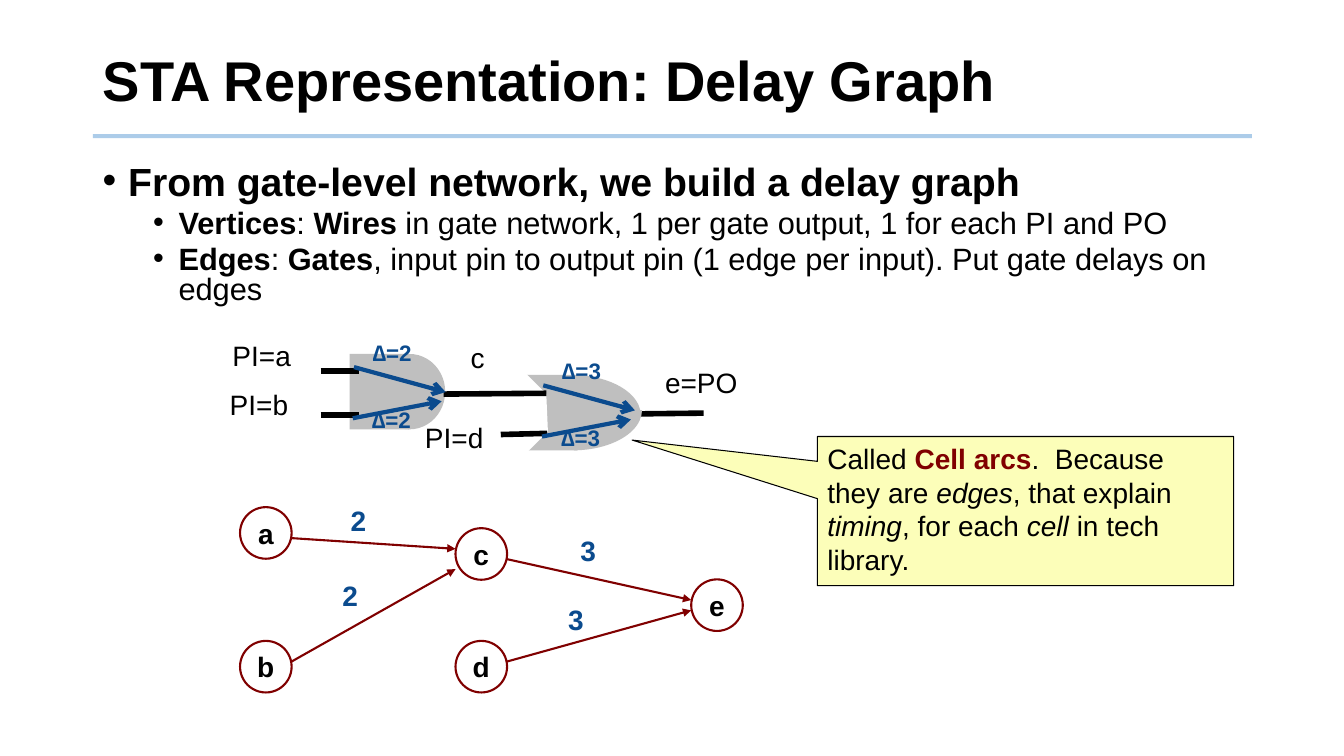
from dataclasses import dataclass

from lxml import etree
from pptx import Presentation, util as u
from pptx.dml.color import RGBColor
from pptx.enum import shapes, text
from pptx.oxml.ns import qn

BLACK, BLUE, RED, GREY = "000000", "0B4B8E", "800000", "BFBFBF"
MSO = shapes.MSO_SHAPE
BOLD, ITALIC = {"bold": True}, {"italic": True}


@dataclass
class Label:
    text: str
    x: float
    y: float
    w: float = 2.29
    h: float = 1.27
    size: float = 20
    color: str = BLACK
    bold: bool = False


@dataclass
class Line:
    x1: float
    y1: float
    x2: float
    y2: float
    color: str = BLACK
    width: float = 4
    head: str = ""


@dataclass
class Block:
    kind: MSO
    x: float
    y: float
    w: float
    h: float
    fill: str = GREY
    adjust: tuple[float, ...] = ()
    rotation: float = 0
    flip: bool = False


@dataclass
class Node:
    x: float
    y: float


@dataclass
class Edge:
    """Delay edge; dy1 and dy2 shift its ends from the node centres."""
    start: str
    end: str
    dy1: float
    dy2: float


def rgb(color: str) -> RGBColor:
    return RGBColor.from_string(color)


def add_run(p, words: str, size: float, color: str = BLACK, **fmt) -> None:
    r = p.add_run()
    r.text = words
    for name, value in ({"name": "Arial", "size": u.Pt(size)} | fmt).items():
        setattr(r.font, name, value)
    r.font.color.rgb = rgb(color)


def add_box(s, x: float, y: float, w: float, h: float, **frame):
    tf = s.shapes.add_textbox(*map(u.Cm, (x, y, w, h))).text_frame
    for name, value in frame.items():
        setattr(tf, name, value)
    return tf


def add_label(s, label: Label) -> None:
    tf = add_box(s, label.x, label.y, label.w, label.h, word_wrap=False)
    add_run(tf.paragraphs[0], label.text, label.size, label.color, bold=label.bold)


def add_line(s, line: Line):
    ends = map(u.Cm, (line.x1, line.y1, line.x2, line.y2))
    sp = s.shapes.add_connector(shapes.MSO_CONNECTOR.STRAIGHT, *ends)
    sp.line.color.rgb = rgb(line.color)
    sp.line.width = u.Pt(line.width)
    if line.head:
        etree.SubElement(sp.line._get_or_add_ln(), qn("a:tailEnd"), type=line.head)
    etree.SubElement(sp._element.spPr, qn("a:effectLst"))
    return sp


def add_block(s, block: Block):
    """Borderless preset shape."""
    sp = s.shapes.add_shape(block.kind, *map(u.Cm, (block.x, block.y, block.w, block.h)))
    sp.shadow.inherit = False
    sp.fill.solid()
    sp.fill.fore_color.rgb = rgb(block.fill)
    sp.line.fill.background()
    sp.rotation = block.rotation
    for i, value in enumerate(block.adjust):
        sp.adjustments[i] = value
    if block.flip:
        sp._element.spPr.xfrm.set("flipV", "1")
    return sp


def outline(sp, color: str, width: float) -> None:
    sp.line.color.rgb = rgb(color)
    sp.line.width = u.Pt(width)


def add_bullet(p, left: float, before: float) -> None:
    p.line_spacing, p.space_before = 0.8, u.Pt(before)
    pPr = p._p.get_or_add_pPr()
    pPr.set("marL", str(u.Cm(left)))
    pPr.set("indent", str(u.Cm(-0.64)))
    etree.SubElement(pPr, qn("a:buFont"), typeface="Arial")
    etree.SubElement(pPr, qn("a:buChar"), char="•")


NODE_SIZE = 1.3
NODES = {"a": Node(6.05, 12.78), "b": Node(6.05, 16.15), "c": Node(11.48, 13.31),
         "d": Node(11.48, 16.15), "e": Node(17.42, 14.6)}
EDGES = [Edge("a", "c", 0.13, -0.13), Edge("b", "c", -0.13, 0.38),
         Edge("c", "e", 0.13, -0.13), Edge("d", "e", -0.13, 0.13)]
WEIGHTS = [("2", 8.59, 12.57), ("2", 8.38, 14.45), ("3", 14.07, 15.06), ("3", 14.38, 13.31)]
PINS = [Label("PI=a", 5.61, 8.41), Label("PI=b", 5.54, 9.63), Label("c", 11.61, 8.46, 0.99),
        Label("PI=d", 10.46, 10.46), Label("e=PO", 16.51, 9.09, 2.69)]
OUTPUT_WIRE = Line(15.14, 10.44, 17.73, 10.41)
INPUT_WIRES = [Line(8.08, 9.35, 9.04, 9.35), Line(8.08, 10.46, 9.04, 10.46),
               Line(12.62, 10.95, 13.79, 10.92), Line(11.18, 9.93, 13.77, 9.91)]
QUARTER = (162.82, 0)
GATES = [
    Block(MSO.RECTANGLE, 8.81, 8.92, 1.5, 1.9),
    Block(MSO.OVAL, 9.42, 8.92, 1.8, 1.9),
    Block(MSO.RECTANGLE, 13.28, 9.45, 1.27, 1.9),
    Block(MSO.ARC, 12.67, 9.45, 3.48, 2.03, adjust=QUARTER),
    Block(MSO.ARC, 12.7, 9.32, 3.48, 2.03, adjust=QUARTER, flip=True),
    Block(MSO.DIAGONAL_STRIPE, 12.5, 9.6, 1.42, 1.55, "FFFFFF", (0.45,), 135),
]
BULLETS = [
    (0.64, 10, 28, [("From gate-level network, we build a delay graph", BOLD)]),
    (1.91, 5, 22, [("Vertices", BOLD), (": ", {}), ("Wires", BOLD),
                   (" in gate network, 1 per gate output, 1 for each PI and PO", {})]),
    (1.91, 5, 22, [("Edges", BOLD), (": ", {}), ("Gates", BOLD),
                   (", input pin to output pin (1 edge per input). Put gate delays on edges", {})]),
]
CALLOUT = [("Called ", {}), ("Cell arcs", BOLD | {"color": RED}), (".  Because they are ", {}),
           ("edges", ITALIC), (", that explain ", {}), ("timing", ITALIC),
           (", for each ", {}), ("cell", ITALIC), (" in tech library.", {})]


def add_heading_and_bullets(s) -> None:
    rule = add_line(s, Line(2.34, 3.43, 31.55, 3.43, "5B9BD5", 3))
    color = rule._element.spPr.find(".//" + qn("a:srgbClr"))
    etree.SubElement(color, qn("a:alpha"), val="50000")
    tf = add_box(s, 2.34, 0.71, 29.21, 2.79, word_wrap=True,
                 vertical_anchor=text.MSO_ANCHOR.MIDDLE)
    tf.paragraphs[0].line_spacing = 0.9
    add_run(tf.paragraphs[0], "STA Representation: Delay Graph", 40, bold=True)
    tf = add_box(s, 2.34, 4.06, 29.21, 13.08, word_wrap=True)
    for i, (left, before, size, runs) in enumerate(BULLETS):
        p = tf.add_paragraph() if i else tf.paragraphs[0]
        add_bullet(p, left, before)
        for words, fmt in runs:
            add_run(p, words, size, **fmt)


def add_circuit(s) -> None:
    add_line(s, OUTPUT_WIRE)
    for pin in PINS:
        add_label(s, pin)
    for block in GATES:
        add_block(s, block)
    for wire in INPUT_WIRES:
        add_line(s, wire)
    for delay, dx, dy in (("∆=2", 0, 0), ("∆=3", 4.77, 0.46)):
        for x1, y1, x2, y2 in ((8.92, 9.25, 11.23, 9.88), (8.89, 10.54, 11.13, 10.11)):
            add_line(s, Line(x1 + dx, y1 + dy, x2 + dx, y2 + dy, BLUE, 3, "arrow"))
        for x, y in ((9.14, 8.41), (9.12, 10.11)):
            add_label(s, Label(delay, x + dx, y + dy, 1.73, 1.07, 16, BLUE, True))


def add_graph(s) -> None:
    for name, node in NODES.items():
        sp = add_block(s, Block(MSO.OVAL, node.x, node.y, NODE_SIZE, NODE_SIZE))
        sp.fill.background()
        outline(sp, RED, 1.5)
        sp.text_frame.word_wrap = False
        add_run(sp.text_frame.paragraphs[0], name, 20, bold=True)
    for edge in EDGES:
        start, end = NODES[edge.start], NODES[edge.end]
        add_line(s, Line(start.x + NODE_SIZE, start.y + NODE_SIZE / 2 + edge.dy1,
                         end.x, end.y + NODE_SIZE / 2 + edge.dy2, RED, 1.5, "triangle"))
    for weight, x, y in WEIGHTS:
        add_label(s, Label(weight, x, y, 1.04, color=BLUE, bold=True))


def add_callout(s) -> None:
    sp = add_block(s, Block(MSO.RECTANGULAR_CALLOUT, 20.6, 11, 10.49, 3.76, "FCFEB9", (-0.945, -0.476)))
    outline(sp, BLACK, 0.75)
    sp.text_frame.vertical_anchor = text.MSO_ANCHOR.TOP
    p = sp.text_frame.paragraphs[0]
    p.alignment = text.PP_ALIGN.LEFT
    for words, fmt in CALLOUT:
        add_run(p, words, 20, **fmt)


def main() -> None:
    prs = Presentation()
    prs.slide_width, prs.slide_height = u.Cm(33.87), u.Cm(19.05)
    s = prs.slides.add_slide(prs.slide_layouts[6])
    for draw in (add_heading_and_bullets, add_circuit, add_graph, add_callout):
        draw(s)
    prs.save("out.pptx")


if __name__ == "__main__":
    main()
